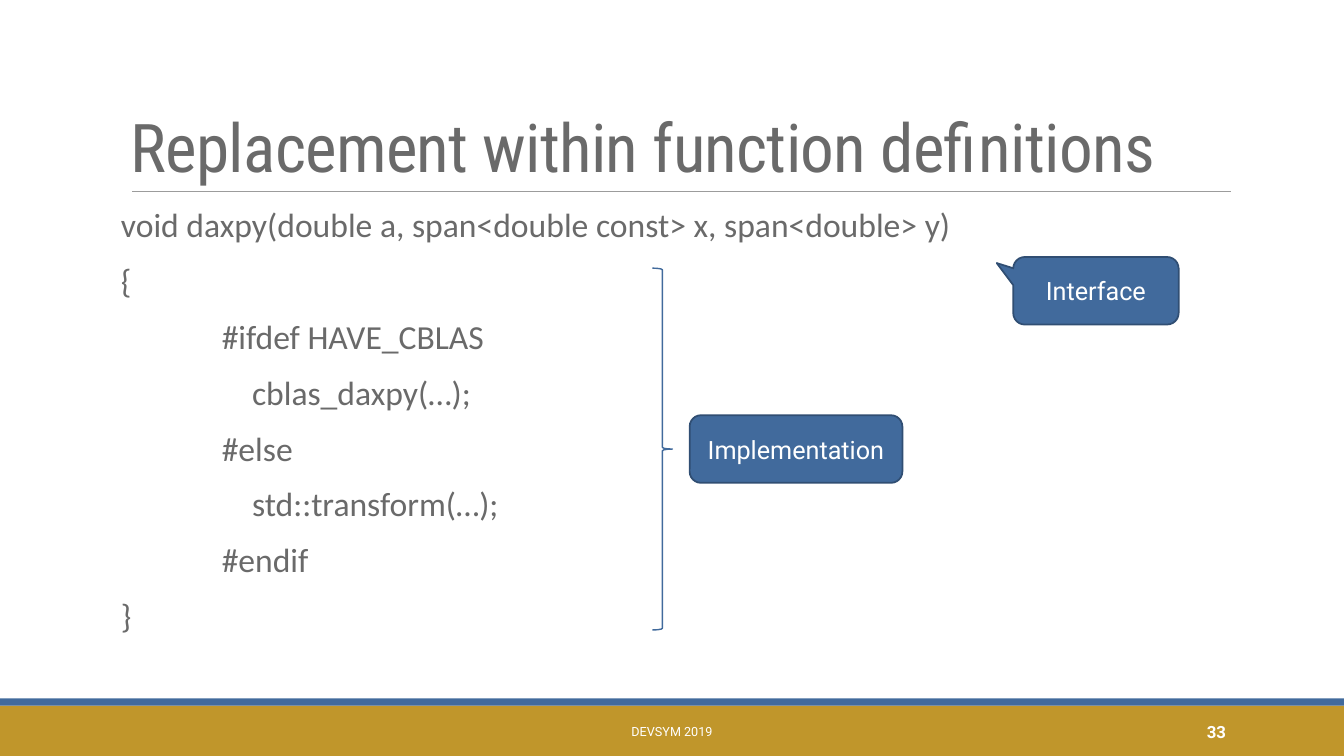
"""Build a slide that separates a function's interface from its implementation."""
from dataclasses import dataclass

import lxml.etree
import pptx
import pptx.dml.color
import pptx.enum.shapes
import pptx.enum.text
import pptx.oxml.ns
import pptx.util

Inches = pptx.util.Inches
Pt = pptx.util.Pt
RGBColor = pptx.dml.color.RGBColor
Shape = pptx.enum.shapes.MSO_SHAPE
Align = pptx.enum.text.PP_ALIGN
Anchor = pptx.enum.text.MSO_ANCHOR

GOLD = RGBColor(0xC0, 0x96, 0x2B)
BLUE = RGBColor(0x41, 0x6A, 0x9C)
DARK_BLUE = RGBColor(0x30, 0x4E, 0x73)
GRAY = RGBColor(0x6A, 0x6A, 0x6A)
RULE_GRAY = RGBColor(0x9C, 0x9C, 0x9C)
WHITE = RGBColor(0xFF, 0xFF, 0xFF)


@dataclass(frozen=True)
class Box:
    left: float
    top: float
    width: float
    height: float

    def lengths(self) -> list[int]:
        return [Inches(v) for v in (self.left, self.top, self.width, self.height)]


@dataclass(frozen=True)
class Style:
    font: str
    size: float
    color: RGBColor
    bold: bool = False
    align: Align = Align.LEFT
    anchor: Anchor = Anchor.MIDDLE


@dataclass(frozen=True)
class Label:
    text: str
    box: Box
    style: Style


@dataclass(frozen=True)
class Bubble:
    text: str
    box: Box
    kind: Shape
    adjustments: tuple[float, ...] = ()


@dataclass(frozen=True)
class CodeLine:
    text: str
    indent: float = 0


TITLE = Label("Replacement within function definitions", Box(1.2, 0.31, 11, 1.59),
              Style("Roboto Condensed", 48, GRAY, anchor=Anchor.BOTTOM))
FOOTERS = [
    Label("DEVSYM 2019", Box(4.03, 7.06, 5.27, 0.4),
          Style("Roboto", 9, WHITE, align=Align.CENTER)),
    Label("33", Box(10.83, 7.06, 1.43, 0.4),
          Style("Roboto", 12, WHITE, bold=True, align=Align.RIGHT)),
]
BANDS = [(Box(0, 7, 13.33, 0.5), GOLD), (Box(0, 6.93, 13.33, 0.07), BLUE)]
BUBBLES = [
    Bubble("Implementation", Box(6.84, 4.12, 2.11, 0.67), Shape.ROUNDED_RECTANGLE),
    Bubble("Interface", Box(10.05, 2.55, 1.64, 0.67),
           Shape.ROUNDED_RECTANGULAR_CALLOUT, (-0.6, -0.41, 0.17)),
]
BUBBLE_STYLE = Style("Roboto", 18, WHITE, align=Align.CENTER)
CODE_BOX = Box(1.2, 2.02, 11, 4.4)
CODE_STYLE = Style("Calibri", 24, GRAY, anchor=Anchor.TOP)
BODY, CALL = 1.0, 1.3
CODE = [
    CodeLine("void daxpy(double a, span<double const> x, span<double> y)"),
    CodeLine("{"),
    CodeLine("#ifdef HAVE_CBLAS", BODY),
    CodeLine("cblas_daxpy(…);", CALL),
    CodeLine("#else", BODY),
    CodeLine("std::transform(…);", CALL),
    CodeLine("#endif", BODY),
    CodeLine("}"),
]


def write(shape, text: str, style: Style):
    """Put styled text into a shape and return its text frame."""
    frame = shape.text_frame
    frame.word_wrap = True
    frame.vertical_anchor = style.anchor
    frame.text = text
    for paragraph in frame.paragraphs:
        paragraph.alignment = style.align
        for run in paragraph.runs:
            run.font.name = style.font
            run.font.size = Pt(style.size)
            run.font.bold = style.bold
            run.font.color.rgb = style.color
    return frame


def add_label(slide, label: Label):
    """Add a text box and return its text frame."""
    return write(slide.shapes.add_textbox(*label.box.lengths()), label.text, label.style)


def add_title(slide) -> None:
    """Add the tightly set title and the rule under it."""
    paragraph = add_label(slide, TITLE).paragraphs[0]
    paragraph.line_spacing = 0.85
    paragraph.runs[0].font._element.set("spc", "-50")
    rule = slide.shapes.add_connector(
        pptx.enum.shapes.MSO_CONNECTOR.STRAIGHT,
        Inches(1.31), Inches(1.9), Inches(12.21), Inches(1.9))
    rule.line.color.rgb = RULE_GRAY
    rule.line.width = Pt(0.5)
    lxml.etree.SubElement(rule._element.spPr, pptx.oxml.ns.qn("a:effectLst"))


def add_band(slide, box: Box, color: RGBColor) -> None:
    """Add a plain footer band."""
    band = slide.shapes.add_shape(Shape.RECTANGLE, *box.lengths())
    band.shadow.inherit = False
    band.fill.solid()
    band.fill.fore_color.rgb = color
    band.line.fill.background()


def add_code(slide) -> None:
    """Add the code listing with its indents."""
    listing = "\n".join(line.text for line in CODE)
    frame = add_label(slide, Label(listing, CODE_BOX, CODE_STYLE))
    frame.margin_left = frame.margin_right = 0
    for paragraph, line in zip(frame.paragraphs, CODE):
        paragraph.line_spacing = 0.9
        paragraph.space_before = Pt(12)
        paragraph.space_after = Pt(2)
        properties = paragraph._p.get_or_add_pPr()
        properties.set("marL", str(Inches(line.indent)))
        properties.set("indent", "0")


def add_brace(slide, box: Box) -> None:
    """Add the brace that spans the implementation."""
    brace = slide.shapes.add_shape(Shape.RIGHT_BRACE, *box.lengths())
    brace.shadow.inherit = False
    brace.fill.background()
    brace.line.color.rgb = BLUE
    brace.line.width = Pt(1)


def add_bubble(slide, bubble: Bubble) -> None:
    """Add a filled annotation."""
    shape = slide.shapes.add_shape(bubble.kind, *bubble.box.lengths())
    for index, value in enumerate(bubble.adjustments):
        shape.adjustments[index] = value
    shape.shadow.inherit = False
    shape.fill.solid()
    shape.fill.fore_color.rgb = BLUE
    shape.line.color.rgb = DARK_BLUE
    shape.line.width = Pt(1.25)
    write(shape, bubble.text, BUBBLE_STYLE)


def main() -> None:
    """Build and save the presentation."""
    deck = pptx.Presentation()
    deck.slide_width, deck.slide_height = Inches(13.33), Inches(7.5)
    slide = deck.slides.add_slide(deck.slide_layouts[6])
    for box, color in BANDS:
        add_band(slide, box, color)
    add_title(slide)
    add_code(slide)
    add_brace(slide, Box(6.47, 2.66, 0.2, 3.59))
    for bubble in BUBBLES:
        add_bubble(slide, bubble)
    for footer in FOOTERS:
        add_label(slide, footer)
    deck.save("out.pptx")


if __name__ == "__main__":
    main()
